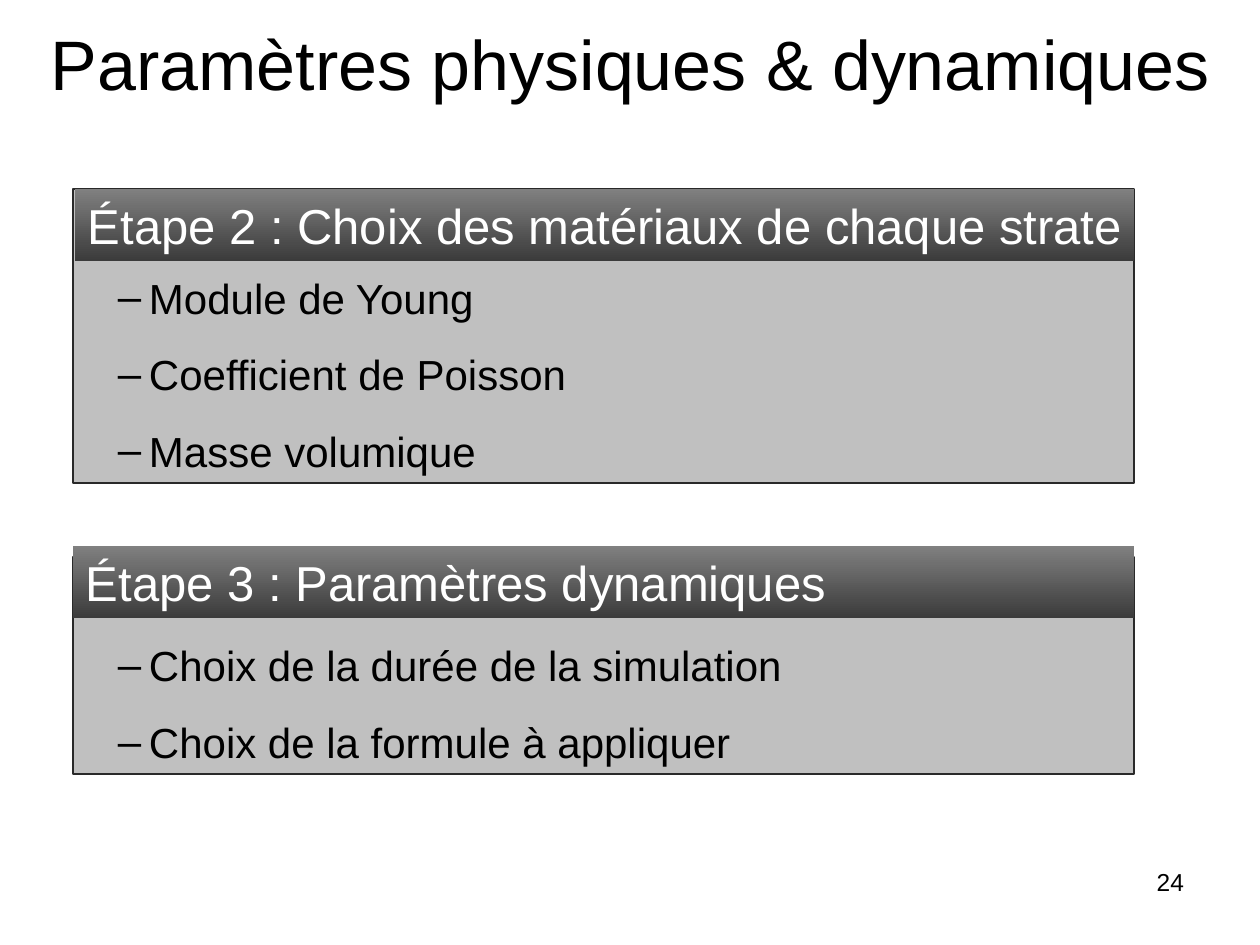
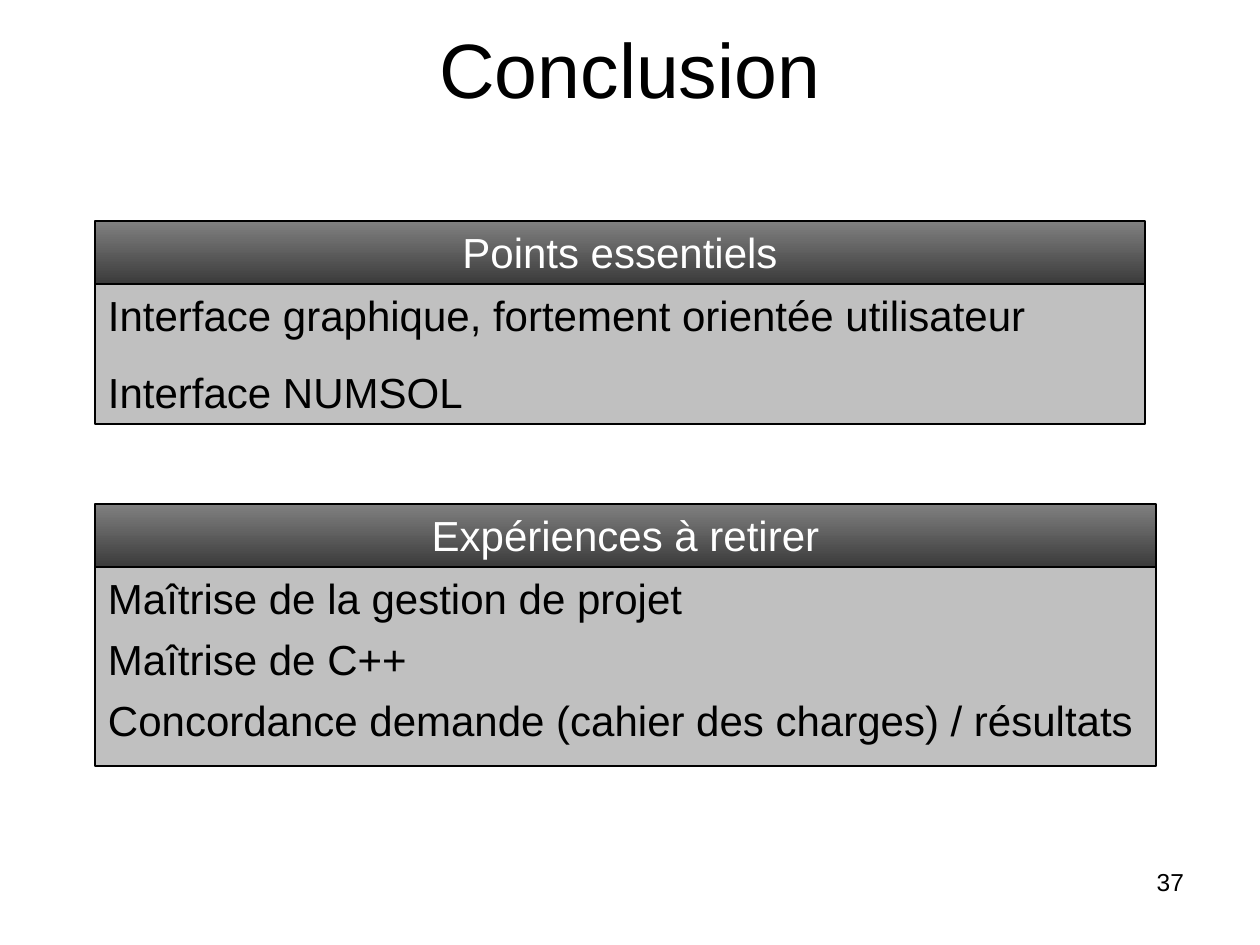
import dataclasses

import pptx
import pptx.dml.color
import pptx.enum.shapes
import pptx.enum.text
import pptx.util
from lxml import etree
from pptx.oxml.ns import qn

ALIGN = pptx.enum.text.PP_ALIGN
ANCHOR = pptx.enum.text.MSO_ANCHOR
EMU_PER_PX = 914400 / 126


@dataclasses.dataclass(frozen=True)
class Theme:
    font: str = "Arial"
    ink: str = "000000"
    header_ink: str = "FFFFFF"
    header_top: str = "808080"
    header_bottom: str = "3B3B3B"
    panel: str = "C0C0C0"
    step_line: str = "292929"
    line_pt: float = 0.75
    step_size: int = 28
    body_size: int = 24
    number_size: int = 14
    step_gap: int = 15
    lesson_gap: int = 6


THEME = Theme()
PAD_X, PAD_Y = 13, 6
STEP_LIST_TOP = 83  # room the step header takes at the top of its panel
BULLET_LEFT, BULLET_HANG = 63, 31


def px(n):
    return pptx.util.Emu(round(n * EMU_PER_PX))


def rgb(value):
    return pptx.dml.color.RGBColor.from_string(value)


def add_bullet(p):
    pPr = p._p.get_or_add_pPr()
    pPr.set("marL", str(px(BULLET_LEFT)))
    pPr.set("indent", str(-px(BULLET_HANG)))
    etree.SubElement(pPr, qn("a:buFont"), typeface=THEME.font)
    etree.SubElement(pPr, qn("a:buChar"), char="–")


def write(s, lines, size, color=THEME.ink, align=ALIGN.LEFT, anchor=ANCHOR.TOP,
          top=PAD_Y, gap=0, bullets=False):
    tf = s.text_frame
    tf.word_wrap = True
    tf.vertical_anchor = anchor
    tf.margin_left = px(PAD_X)
    tf.margin_right = px(0 if align == ALIGN.LEFT else PAD_X)
    tf.margin_top, tf.margin_bottom = px(top), px(PAD_Y)
    for i, line in enumerate(lines):
        p = tf.add_paragraph() if i else tf.paragraphs[0]
        p.text = line
        p.alignment = align
        if i and gap:
            p.space_before = pptx.util.Pt(gap)
        if bullets:
            add_bullet(p)
        for r in p.runs:
            r.font.name = THEME.font
            r.font.size = pptx.util.Pt(size)
            r.font.color.rgb = rgb(color)


def add_text(slide, box, text, size, **style):
    write(slide.shapes.add_textbox(*map(px, box)), [text], size, **style)


def add_rect(slide, box, line):
    s = slide.shapes.add_shape(pptx.enum.shapes.MSO_SHAPE.RECTANGLE, *map(px, box))
    s.shadow.inherit = False
    if line:
        s.line.color.rgb = rgb(line)
        s.line.width = pptx.util.Pt(THEME.line_pt)
    else:
        s.line.fill.background()
    return s


def add_header(slide, box, text, size, line=None, align=ALIGN.LEFT):
    s = add_rect(slide, box, line)
    s.fill.gradient()
    s.fill.gradient_angle = 270
    ends = zip(s.fill.gradient_stops, (THEME.header_top, THEME.header_bottom), (0, 1))
    for stop, color, position in ends:
        stop.color.rgb = rgb(color)
        stop.position = position
    write(s, [text], size, THEME.header_ink, align)


def add_panel(slide, box, lines, line, **style):
    s = add_rect(slide, box, line)
    s.fill.solid()
    s.fill.fore_color.rgb = rgb(THEME.panel)
    write(s, lines, THEME.body_size, **style)


def add_step(slide, panel_box, header_box, title, items):
    add_panel(slide, panel_box, items, THEME.step_line, top=STEP_LIST_TOP,
              gap=THEME.step_gap, bullets=True)
    add_header(slide, header_box, title, THEME.step_size)


def add_summary(slide, x, y, w, h, title, lines, gap):
    header_h = 63
    add_panel(slide, (x, y + header_h, w, h), lines, THEME.ink, gap=gap)
    add_header(slide, (x, y, w, header_h), title, THEME.body_size, THEME.ink, ALIGN.CENTER)


def add_slide(prs, title, title_box, title_size, number):
    slide = prs.slides.add_slide(prs.slide_layouts[6])
    add_text(slide, (903, 861, 294, 66), number, THEME.number_size, align=ALIGN.RIGHT)
    add_text(slide, title_box, title, title_size, align=ALIGN.CENTER, anchor=ANCHOR.MIDDLE)
    return slide


def main():
    prs = pptx.Presentation()
    prs.slide_width, prs.slide_height = px(1260), px(945)

    # Parameters: two steps with dashed lists
    slide = add_slide(prs, "Paramètres physiques & dynamiques", (0, 0, 1260, 126), 40, "24")
    add_step(slide, (73, 189, 1061, 294), (75, 189, 1059, 72),
             "Étape 2 : Choix des matériaux de chaque strate",
             ["Module de Young", "Coefficient de Poisson", "Masse volumique"])
    add_step(slide, (73, 557, 1061, 217), (73, 546, 1061, 72),
             "Étape 3 : Paramètres dynamiques",
             ["Choix de la durée de la simulation", "Choix de la formule à appliquer"])

    # Conclusion: key points and lessons learned
    slide = add_slide(prs, "Conclusion", (63, 0, 1134, 136), 44, "37")
    add_summary(slide, 95, 221, 1050, 140, "Points essentiels",
                ["Interface graphique, fortement orientée utilisateur", "Interface NUMSOL"],
                THEME.step_gap)
    add_summary(slide, 95, 504, 1061, 199, "Expériences à retirer",
                ["Maîtrise de la gestion de projet", "Maîtrise de C++",
                 "Concordance demande (cahier des charges) / résultats"],
                THEME.lesson_gap)

    prs.save("out.pptx")


if __name__ == "__main__":
    main()
